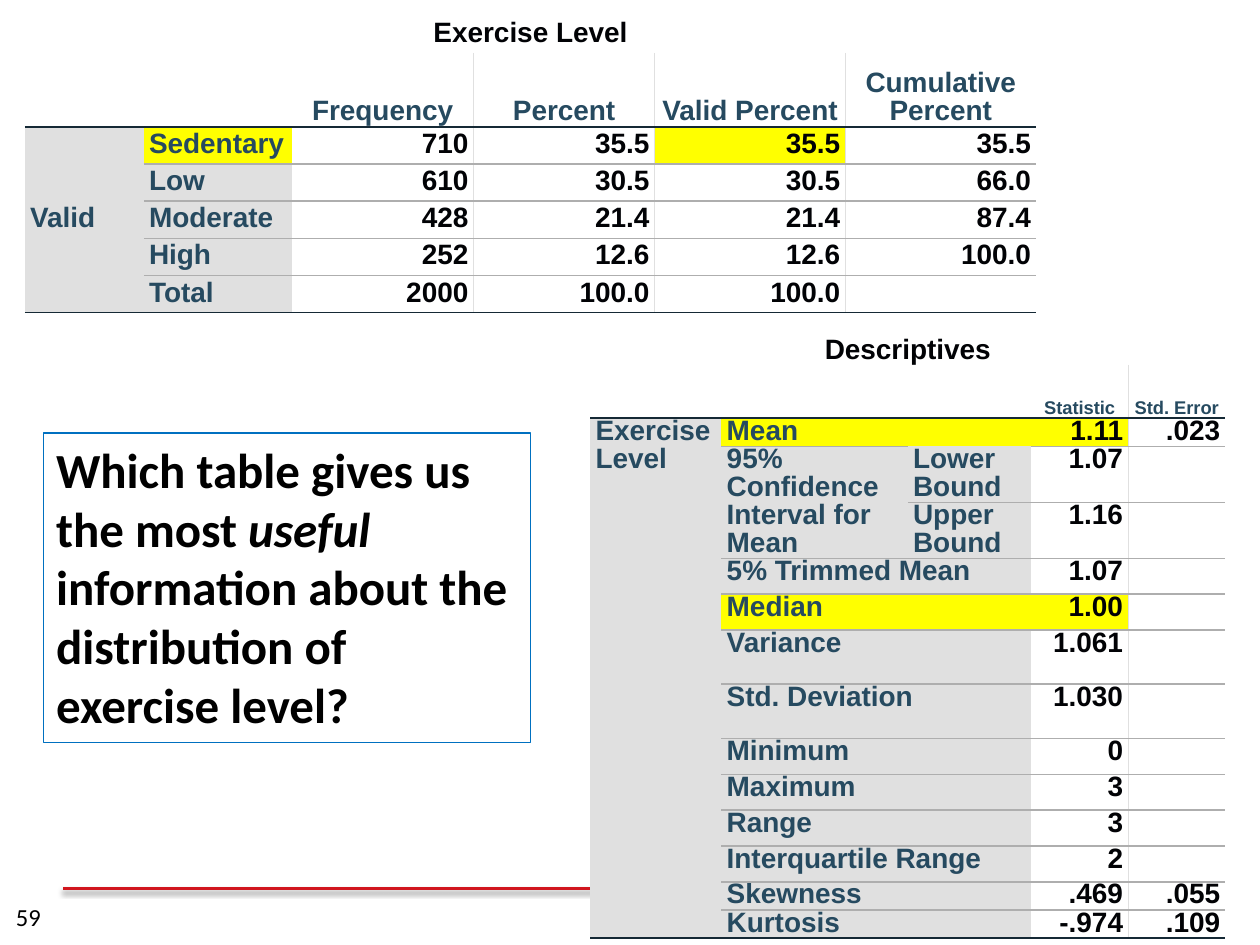
from dataclasses import dataclass

from lxml.etree import SubElement
from pptx import Presentation
from pptx.dml.color import RGBColor
from pptx.enum.shapes import MSO_CONNECTOR
from pptx.enum.text import MSO_ANCHOR, MSO_AUTO_SIZE, PP_ALIGN
from pptx.oxml.ns import qn
from pptx.util import Pt


@dataclass(frozen=True)
class Theme:
    """Colours, fonts and type sizes of the slide."""
    white: str = "FFFFFF"
    black: str = "000000"
    ink: str = "010205"
    slate: str = "264A60"
    stub: str = "E0E0E0"
    highlight: str = "FFFF00"
    heavy_rule: str = "152935"
    row_rule: str = "AEAEAE"
    column_rule: str = "E0E0E0"
    frame: str = "0070C0"
    accent: str = "D1161E"
    table_font: str = "Arial"
    body_font: str = "Calibri"
    table_size: float = 16
    small_size: float = 10.5
    question_size: float = 28
    number_size: float = 14


THEME = Theme()


@dataclass(frozen=True)
class StatisticsTable:
    """Content and layout rules of one statistics table."""
    rows: list
    widths: list
    heights: list
    first_value: int
    merges: list
    highlights: set
    body_anchor: MSO_ANCHOR
    header_size: float = THEME.table_size
    open_edges: frozenset = frozenset()


FREQUENCIES = StatisticsTable(
    rows=[
        ["Exercise Level", "", "", "", "", ""],
        ["", "", "Frequency", "Percent", "Valid Percent", "Cumulative Percent"],
        ["Valid", "Sedentary", "710", "35.5", "35.5", "35.5"],
        ["", "Low", "610", "30.5", "30.5", "66.0"],
        ["", "Moderate", "428", "21.4", "21.4", "87.4"],
        ["", "High", "252", "12.6", "12.6", "100.0"],
        ["", "Total", "2000", "100.0", "100.0", ""],
    ],
    widths=[68, 84.5, 104, 103.5, 109, 109],
    heights=[21] + [42.3] + [21.25] * 5,
    first_value=2,
    merges=[(0, 0, 0, 5), (1, 0, 1, 1), (2, 0, 6, 0)],
    highlights={(2, 1), (2, 4)},
    body_anchor=MSO_ANCHOR.MIDDLE,
)

DESCRIPTIVES = StatisticsTable(
    rows=[
        ["Descriptives", "", "", "", ""],
        ["", "", "", "Statistic", "Std. Error"],
        ["Exercise Level", "Mean", "", "1.11", ".023"],
        ["", "95% Confidence Interval for Mean", "Lower Bound", "1.07", ""],
        ["", "", "Upper Bound", "1.16", ""],
        ["", "5% Trimmed Mean", "", "1.07", ""],
        ["", "Median", "", "1.00", ""],
        ["", "Variance", "", "1.061", ""],
        ["", "Std. Deviation", "", "1.030", ""],
        ["", "Minimum", "", "0", ""],
        ["", "Maximum", "", "3", ""],
        ["", "Range", "", "3", ""],
        ["", "Interquartile Range", "", "2", ""],
        ["", "Skewness", "", ".469", ".055"],
        ["", "Kurtosis", "", "-.974", ".109"],
    ],
    widths=[75, 106.5, 70.5, 55.5, 55.5],
    heights=[16, 30.5, 16, 32, 32, 20.5, 20.5, 31, 31] + [20.5] * 4 + [16] * 2,
    first_value=3,
    merges=[(0, 0, 0, 4), (1, 0, 1, 2), (2, 0, 14, 0), (3, 1, 4, 1)]
    + [(row, 1, row, 2) for row in (2, *range(5, 15))],
    highlights={(2, 1), (2, 3), (6, 1), (6, 3)},
    body_anchor=MSO_ANCHOR.TOP,
    header_size=THEME.small_size,
    open_edges=frozenset({(2, 2)}),
)


def rgb(value):
    """Return the colour object for a hexadecimal value."""
    return RGBColor.from_string(value)


def add_run(paragraph, text, font, size, colour, bold=False, italic=False):
    """Append one formatted run to a paragraph."""
    run = paragraph.add_run()
    run.text = text
    run.font.name, run.font.size = font, Pt(size)
    run.font.bold, run.font.italic = bold, italic
    run.font.color.rgb = rgb(colour)


def set_border(cell, side, colour):
    """Draw one side of a cell, or clear it when there is no colour."""
    line = SubElement(cell._tc.get_or_add_tcPr(), qn(f"a:ln{side}"), w=str(Pt(1)))
    if colour:
        fill = SubElement(line, qn("a:solidFill"))
        SubElement(fill, qn("a:srgbClr"), val=colour)
    else:
        SubElement(line, qn("a:noFill"))


def rule_below(table, row, column):
    """Return the colour of the rule under a cell, or under its merged block."""
    for top, left, bottom, right in table.merges:
        if (row, column) == (top, left):
            row = bottom
        elif top <= row < bottom and left <= column <= right:
            return None
    if row < 1 or (row, column) in table.open_edges:
        return None
    return THEME.heavy_rule if row in (1, len(table.rows) - 1) else THEME.row_rule


def rule_above(table, row, column):
    """Return the colour of the rule over a cell."""
    inside = any(top < row <= bottom and left <= column <= right
                 for top, left, bottom, right in table.merges)
    return None if inside else rule_below(table, row - 1, column)


def rule_right(table, row, column):
    """Return the colour of the rule to the right of a grid position."""
    between_values = table.first_value <= column < len(table.widths) - 1
    return THEME.column_rule if row > 0 and between_values else None


def style_cell(table, cell, row, column):
    """Apply borders, fill and text to one table cell."""
    is_label = row > 1 and column < table.first_value
    for side, colour in (("L", rule_right(table, row, column - 1)),
                         ("R", rule_right(table, row, column)),
                         ("T", rule_above(table, row, column)),
                         ("B", rule_below(table, row, column))):
        set_border(cell, side, colour)
    cell.fill.solid()
    background = THEME.stub if is_label else THEME.white
    cell.fill.fore_color.rgb = rgb(
        THEME.highlight if (row, column) in table.highlights else background)
    cell.margin_left = cell.margin_right = cell.margin_top = cell.margin_bottom = Pt(0)
    anchors = {0: MSO_ANCHOR.MIDDLE, 1: MSO_ANCHOR.BOTTOM}
    cell.vertical_anchor = anchors.get(row, table.body_anchor)
    paragraph = cell.text_frame.paragraphs[0]
    properties = paragraph._p.get_or_add_pPr()
    for margin in ("marL", "marR"):
        properties.set(margin, str(Pt(3)))
    paragraph.line_spacing = Pt(16)
    body_alignment = PP_ALIGN.LEFT if is_label else PP_ALIGN.RIGHT
    paragraph.alignment = PP_ALIGN.CENTER if row < 2 else body_alignment
    if table.rows[row][column]:
        size = table.header_size if row == 1 else THEME.table_size
        colour = THEME.slate if row == 1 or is_label else THEME.ink
        add_run(paragraph, table.rows[row][column], THEME.table_font, size, colour, bold=True)
    else:
        SubElement(paragraph._p, qn("a:endParaRPr"), sz=str(int(THEME.small_size * 100)))


def add_statistics_table(slide, table, left, top):
    """Place a statistics table with its upper left corner at the given point."""
    frame = slide.shapes.add_table(
        len(table.rows), len(table.widths), Pt(left), Pt(top),
        Pt(sum(table.widths)), Pt(sum(table.heights)))
    grid = frame.table
    grid.first_row = grid.horz_banding = False
    for column, width in zip(grid.columns, table.widths):
        column.width = Pt(width)
    for row, height in zip(grid.rows, table.heights):
        row.height = Pt(height)
    for first_row, first_column, last_row, last_column in table.merges:
        grid.cell(first_row, first_column).merge(grid.cell(last_row, last_column))
    for row, texts in enumerate(table.rows):
        for column in range(len(texts)):
            style_cell(table, grid.cell(row, column), row, column)


def add_footer_rule(slide, left, top, width):
    """Draw the red footer rule with its soft shadow."""
    rule = slide.shapes.add_connector(
        MSO_CONNECTOR.STRAIGHT, Pt(left), Pt(top), Pt(left + width), Pt(top))
    rule.line.color.rgb = rgb(THEME.accent)
    rule.line.width = Pt(2)
    effects = SubElement(rule._element.spPr, qn("a:effectLst"))
    shadow = SubElement(effects, qn("a:outerShdw"), blurRad=str(Pt(3.1)),
                        dist=str(Pt(1.6)), dir="5400000", rotWithShape="0")
    colour = SubElement(shadow, qn("a:srgbClr"), val=THEME.black)
    SubElement(colour, qn("a:alpha"), val="38000")


def add_question(slide, left, top, width, height):
    """Place the framed question."""
    box = slide.shapes.add_textbox(Pt(left), Pt(top), Pt(width), Pt(height))
    box.fill.solid()
    box.fill.fore_color.rgb = rgb(THEME.white)
    box.line.color.rgb = rgb(THEME.frame)
    box.line.width = Pt(0.75)
    box.text_frame.word_wrap = True
    box.text_frame.auto_size = MSO_AUTO_SIZE.SHAPE_TO_FIT_TEXT
    for text, italic in (("Which table gives us the most ", False), ("useful", True),
                         (" information about the distribution of exercise level?", False)):
        add_run(box.text_frame.paragraphs[0], text, THEME.body_font,
                THEME.question_size, THEME.black, bold=True, italic=italic)


def add_slide_number(slide, left, top, width, height):
    """Place the slide number."""
    box = slide.shapes.add_textbox(Pt(left), Pt(top), Pt(width), Pt(height))
    box.text_frame.word_wrap = True
    box.text_frame.vertical_anchor = MSO_ANCHOR.MIDDLE
    add_run(box.text_frame.paragraphs[0], "59", THEME.body_font,
            THEME.number_size, THEME.black)


def main():
    """Build and save the presentation."""
    presentation = Presentation()
    presentation.slide_width, presentation.slide_height = Pt(720), Pt(540)
    slide = presentation.slides.add_slide(presentation.slide_layouts[6])
    add_footer_rule(slide, 36, 507.6, 563.8)
    add_question(slide, 25, 247.5, 278, 177)
    add_statistics_table(slide, DESCRIPTIVES, 337.3, 192.5)
    add_statistics_table(slide, FREQUENCIES, 14.2, 9.2)
    add_slide_number(slide, 2, 509.5, 162, 28.8)
    presentation.save("out.pptx")


if __name__ == "__main__":
    main()
